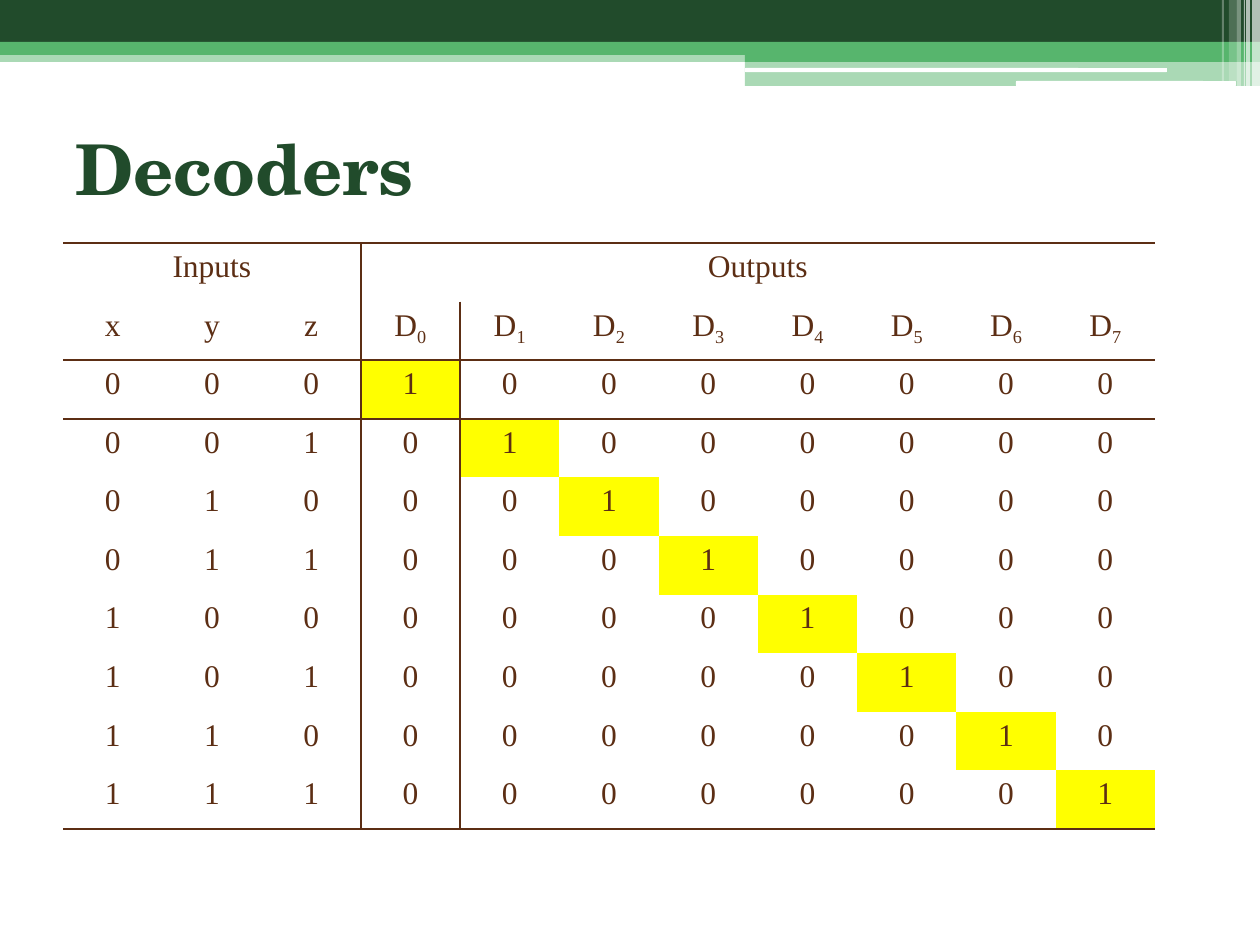
"""Build the slide with the truth table of a three-to-eight decoder."""
from lxml import etree
from pptx import Presentation
from pptx import util as u
from pptx.dml.color import RGBColor
from pptx.enum import shapes, text
from pptx.oxml import ns

PX = u.Inches(1) / 126
DARK_GREEN = RGBColor(0x21, 0x4B, 0x2B)
GREEN = RGBColor(0x57, 0xB5, 0x6D)
WHITE = RGBColor(0xFF, 0xFF, 0xFF)
BROWN = RGBColor(0x5C, 0x2E, 0x14)
YELLOW = RGBColor(0xFF, 0xFF, 0x00)
RECT = shapes.MSO_SHAPE.RECTANGLE
ROUND = shapes.MSO_SHAPE.ROUNDED_RECTANGLE


def add_span(para, words, size, font, color, bold=False, baseline=0):
    span = para.add_run()
    span.text = words
    span.font.size = u.Pt(size)
    span.font.name = font
    span.font.color.rgb = color
    span.font.bold = bold
    if baseline:
        span.font._element.set("baseline", str(baseline * 1000))


def add_border(cell, side, visible):
    line = etree.SubElement(cell._tc.get_or_add_tcPr(), ns.qn(f"a:ln{side}"))
    line.set("w", str(u.Pt(1)))
    if visible:
        fill = etree.SubElement(line, ns.qn("a:solidFill"))
        etree.SubElement(fill, ns.qn("a:srgbClr")).set("val", str(BROWN))
    else:
        etree.SubElement(line, ns.qn("a:noFill"))


deck = Presentation()
deck.slide_width = round(1260 * PX)
deck.slide_height = round(945 * PX)
page = deck.slides.add_slide(deck.slide_layouts[5])

bands = [
    (RECT, 0, 50, 1260, 12, GREEN, 50),
    (RECT, 0, 0, 1260, 43, DARK_GREEN, 100),
    (RECT, 0, 42, 1260, 13, GREEN, 100),
    (RECT, 745, 49, 515, 13, GREEN, 100),
    (RECT, 745, 62, 515, 24, GREEN, 50),
    (ROUND, 745, 68, 422, 4, WHITE, 100),
    (ROUND, 1016, 81, 220, 5, WHITE, 100),
    (RECT, 1252, 0, 8, 86, WHITE, 65),
    (RECT, 1246, 0, 4, 86, WHITE, 65),
    (RECT, 1244, 0, 1, 86, WHITE, 60),
    (RECT, 1237, 0, 4, 86, WHITE, 40),
    (RECT, 1229, 0, 8, 81, WHITE, 20),
    (RECT, 1222, 0, 2, 81, WHITE, 30),
]
for kind, left, top, width, height, color, opacity in bands:
    band = page.shapes.add_shape(kind, *(round(n * PX) for n in (left, top, width, height)))
    band.shadow.inherit = False
    band.line.fill.background()
    band.fill.solid()
    band.fill.fore_color.rgb = color
    if opacity < 100:
        tint = band._element.spPr.find(".//" + ns.qn("a:srgbClr"))
        etree.SubElement(tint, ns.qn("a:alpha")).set("val", str(opacity * 1000))

title = page.shapes.title
title.left, title.top, title.width, title.height = (round(n * PX) for n in (63, 94, 1134, 147))
title.text_frame.vertical_anchor = text.MSO_ANCHOR.MIDDLE
para = title.text_frame.paragraphs[0]
para.alignment = text.PP_ALIGN.LEFT
add_span(para, "Decoders", 40, "TeX Gyre Schola", DARK_GREEN, bold=True)

rows = [["Inputs", "", "", "Outputs"] + [""] * 7]
rows.append(["x", "y", "z"] + [f"D{n}" for n in range(8)])
for number in range(8):
    rows.append(list(f"{number:03b}") + [str(int(n == number)) for n in range(8)])

frame = page.shapes.add_table(10, 11, *(round(n * PX) for n in (63, 243, 1092, 586)))
table = frame.table
table.first_row = False
table.horz_banding = False
for column in table.columns:
    column.width = round(1092 * PX / 11)
for row in table.rows:
    row.height = round(586 * PX / 10)
table.cell(0, 0).merge(table.cell(0, 2))
table.cell(0, 3).merge(table.cell(0, 10))

for r, row in enumerate(rows):
    for c, words in enumerate(row):
        cell = table.cell(r, c)
        add_border(cell, "L", c == 3 or (c == 4 and r > 0))
        add_border(cell, "R", c == 2 or (c == 3 and r > 0))
        add_border(cell, "T", r in (0, 2, 3))
        add_border(cell, "B", r in (1, 2, 9))
        if r > 1 and c == r + 1:
            cell.fill.solid()
            cell.fill.fore_color.rgb = YELLOW
        else:
            cell.fill.background()
        para = cell.text_frame.paragraphs[0]
        para.alignment = text.PP_ALIGN.CENTER
        if words.startswith("D"):
            add_span(para, words[0], 18, "Times New Roman", BROWN)
            add_span(para, words[1], 18, "Times New Roman", BROWN, baseline=-25)
        elif words:
            add_span(para, words, 18, "Times New Roman", BROWN)

deck.save("out.pptx")
